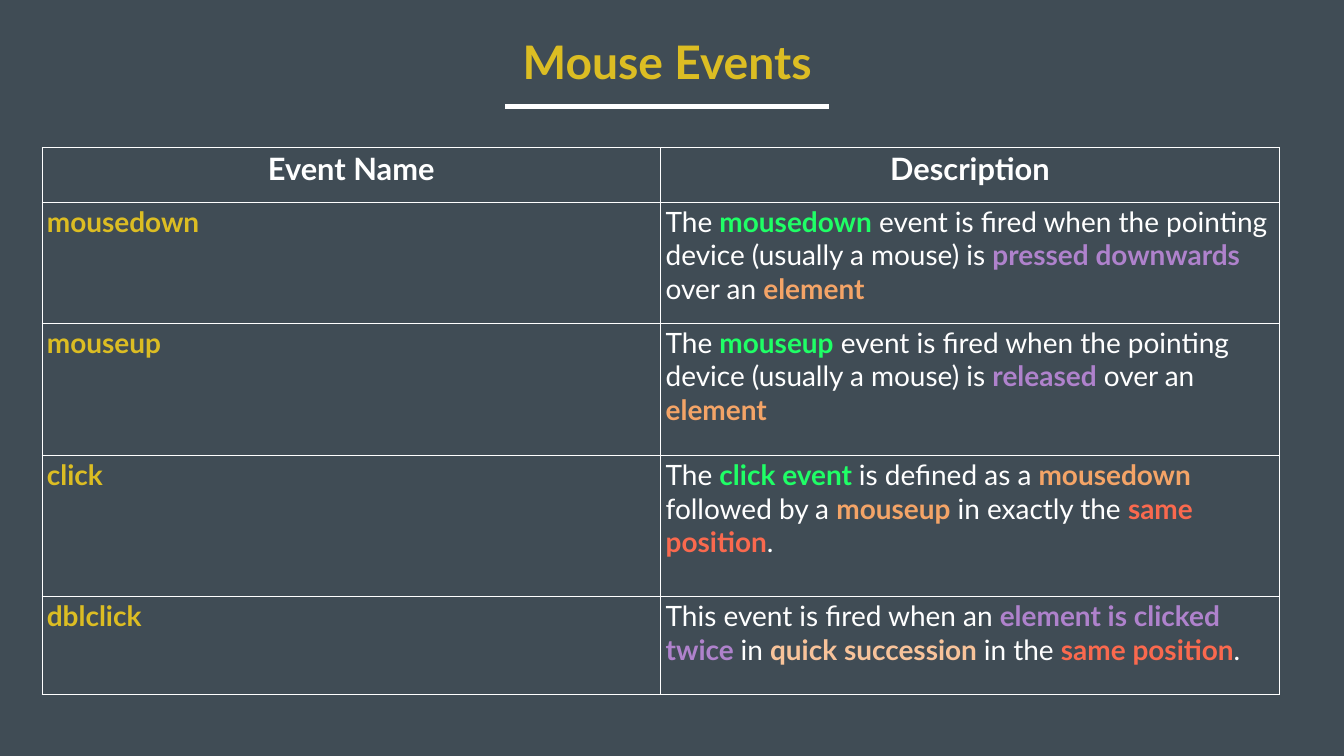
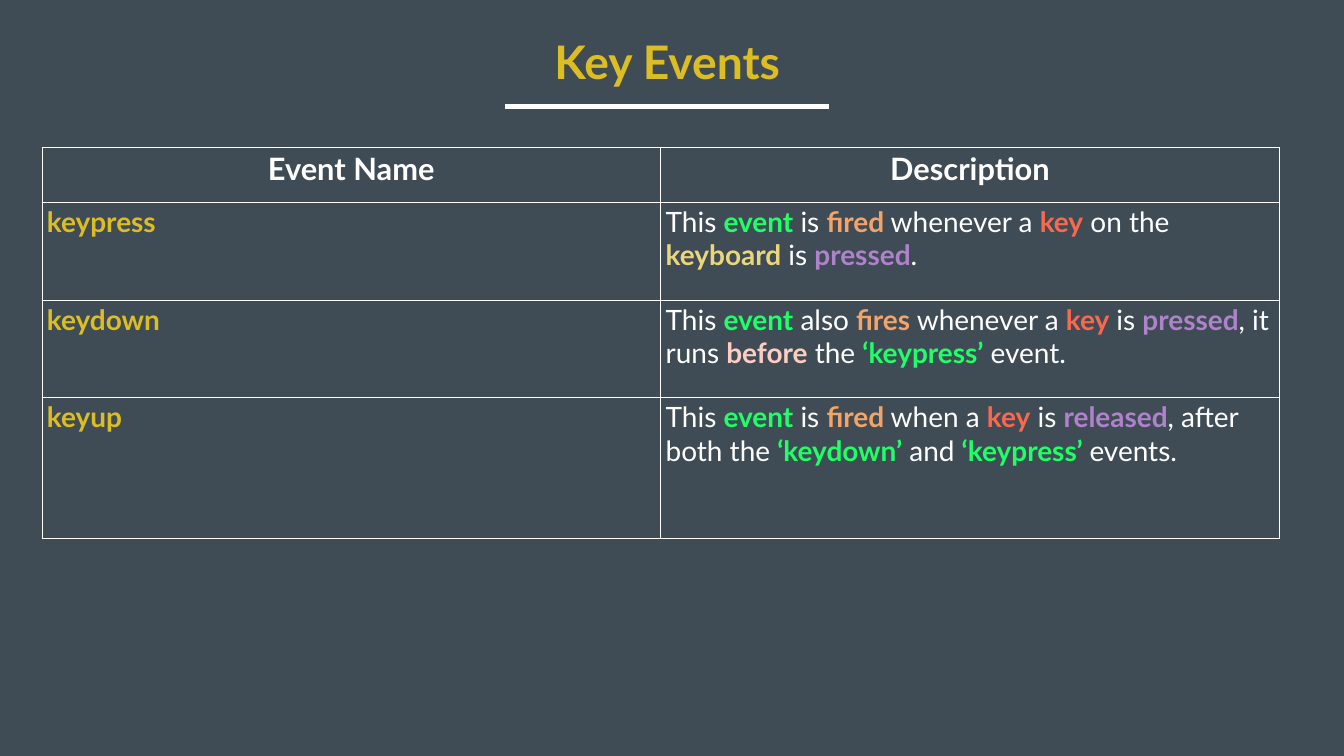
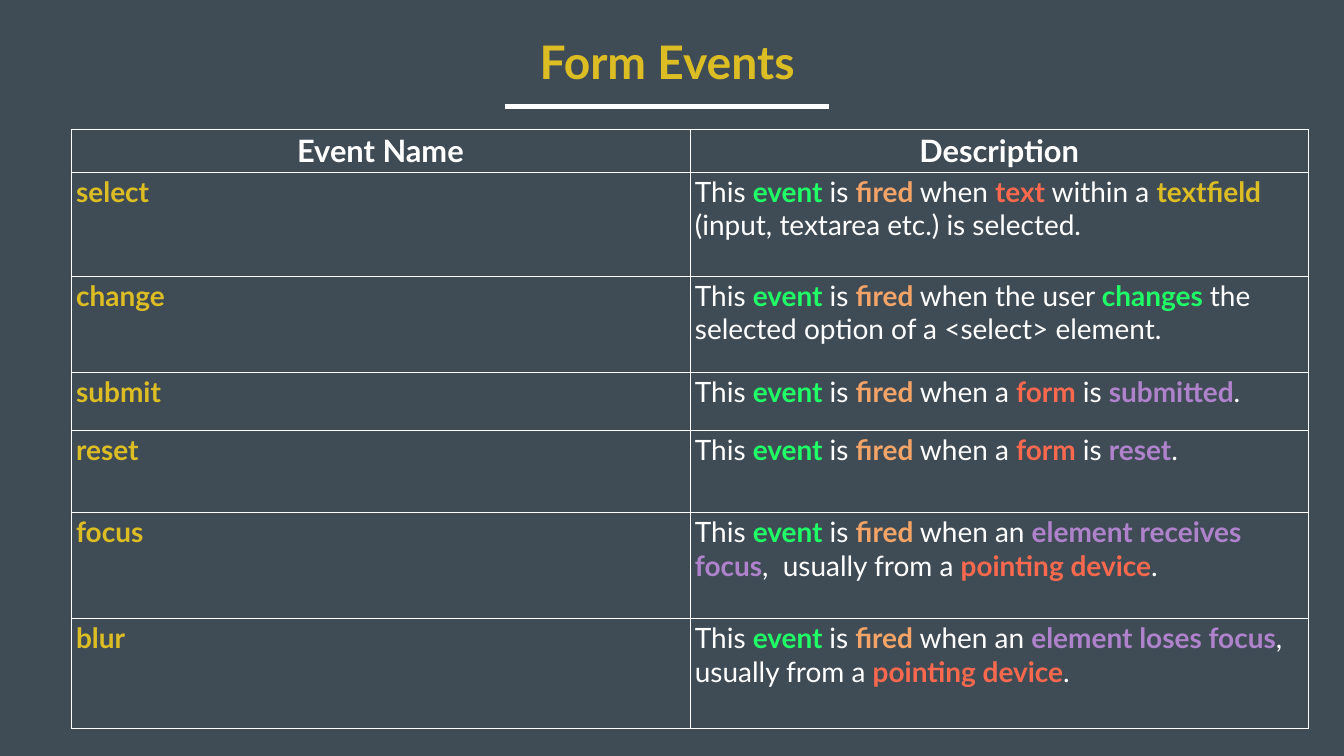
from lxml.etree import SubElement
from pptx import Presentation
from pptx.dml.color import RGBColor as RGB
from pptx.enum.shapes import MSO_CONNECTOR as Link
from pptx.enum.text import MSO_AUTO_SIZE as Fit, PP_ALIGN as Align
from pptx.oxml.ns import qn
from pptx.util import Inches, Pt

COLORS = {
    "back": "404C55",
    "white": "FFFFFF",
    "gold": "DCBD23",
    "straw": "EAD77B",
    "green": "1FFF66",
    "purple": "AF82CC",
    "orange": "F4A467",
    "peach": "F8C39A",
    "red": "FA694E",
    "pink": "FDCDC4",
}
FONT = "Lato"
RULE = (10.02, 16.46)
RULE_TOP = 2.11
MIDDLE = sum(RULE) / 2
COL_WIDTH = 12.28
HEADS = ("Event Name", "Description")

# Words in [color text] brackets are bold and take that color.
MOUSE = [
    ("mousedown", 2.4, "The [green mousedown] event is fired when the pointing device "
     "(usually a mouse) is [purple pressed downwards ]over an [orange element]"),
    ("mouseup", 2.63, "The [green mouseup] event is fired when the pointing device "
     "(usually a mouse) is [purple released] over an [orange element]"),
    ("click", 2.8, "The [green click event ]is defined as a [orange mousedown] followed by a "
     "[orange mouseup] in exactly the [red same position]."),
    ("dblclick", 1.94, "This event is fired when an [purple element is clicked twice ]in "
     "[peach quick succession ]in the [red same position]."),
]
KEYS = [
    ("keypress", 1.94, "This [green event] is [orange fired] whenever a [red key] on the "
     "[straw keyboard] is [purple pressed]."),
    ("keydown", 1.94, "This [green event] also [orange fires] whenever a [red key] is "
     "[purple pressed], it runs [pink before] the [green ‘keypress’] event."),
    ("keyup", 2.8, "This [green event] is [orange fired] when a [red key] is [purple released], "
     "after both the [green ‘keydown’] and [green ‘keypress’ ]events."),
]
FORM = [
    ("select", 2.07, "This [green event] is [orange fired] when [red text] within a "
     "[gold textfield] (input, textarea etc.) is selected."),
    ("change", 1.91, "This [green event] is [orange fired] when the user [green changes] the "
     "selected option of a <select> element."),
    ("submit", 1.14, "This [green event] is [orange fired] when a [red form] is "
     "[purple submitted]."),
    ("reset", 1.64, "This [green event] is [orange fired] when a [red form] is [purple reset]."),
    ("focus", 2.1, "This [green event] is [orange fired] when an "
     "[purple element receives focus],  usually from a [red pointing device]."),
    ("blur", 2.18, "This [green event ]is [orange fired] when an [purple element loses focus], "
     "usually from a [red pointing device]."),
]


def color(name):
    return RGB.from_string(COLORS[name])


def write(frame, text, size, align=Align.LEFT):
    """Fill a text frame with one paragraph of marked-up text."""
    para = frame.paragraphs[0]
    para.alignment = align
    para.font.name = FONT
    para.font.size = Pt(size)
    for i, part in enumerate(text.replace("]", "[").split("[")):
        if not part:
            continue
        marked = i % 2 == 1
        tone, words = part.split(" ", 1) if marked else ("white", part)
        run = para.add_run()
        run.text = words
        run.font.bold = marked
        run.font.color.rgb = color(tone)


def add_title(slide, text, width):
    box = slide.shapes.add_textbox(Inches(MIDDLE - width / 2), Inches(0.62),
                                   Inches(width), Inches(1.21))
    box.text_frame.word_wrap = False
    box.text_frame.auto_size = Fit.SHAPE_TO_FIT_TEXT
    write(box.text_frame, f"[gold {text}]", 66, Align.CENTER)


def add_rule(slide):
    left, right = map(Inches, RULE)
    rule = slide.shapes.add_connector(Link.STRAIGHT, left, Inches(RULE_TOP),
                                      right, Inches(RULE_TOP))
    rule.line.color.rgb = color("white")
    rule.line.width = Pt(8)
    SubElement(rule.element.spPr, qn("a:effectLst"))


def frame_cell(cell):
    """Give a cell thin white borders and no fill."""
    props = cell._tc.get_or_add_tcPr()
    for side in ("lnL", "lnR", "lnT", "lnB"):
        line = SubElement(props, qn(f"a:{side}"), w=str(Pt(1)))
        fill = SubElement(line, qn("a:solidFill"))
        SubElement(fill, qn("a:srgbClr"), val=COLORS["white"])
    cell.fill.background()


def add_events(slide, events, left, top, head):
    heights = [head] + [height for _, height, _ in events]
    table = slide.shapes.add_table(len(heights), len(HEADS), Inches(left), Inches(top),
                                   Inches(COL_WIDTH * len(HEADS)), Inches(sum(heights))).table
    table.first_row = table.horz_banding = False
    for col in table.columns:
        col.width = Inches(COL_WIDTH)
    for row, height in zip(table.rows, heights):
        row.height = Inches(height)
    for cell in table.iter_cells():
        frame_cell(cell)
    for col, text in enumerate(HEADS):
        write(table.cell(0, col).text_frame, f"[white {text}]", 44, Align.CENTER)
    for row, (name, _, text) in enumerate(events, 1):
        write(table.cell(row, 0).text_frame, f"[gold {name}]", 40)
        write(table.cell(row, 1).text_frame, text, 40)


def add_page(deck, title, width, events, left=0.83, top=2.93, head=1.08):
    slide = deck.slides.add_slide(deck.slide_layouts[6])
    slide.background.fill.solid()
    slide.background.fill.fore_color.rgb = color("back")
    add_title(slide, title, width)
    add_rule(slide)
    add_events(slide, events, left, top, head)


def main():
    deck = Presentation()
    deck.slide_width = Inches(26.67)
    deck.slide_height = Inches(15)
    add_page(deck, "Mouse Events", 6.43, MOUSE)
    add_page(deck, "Key Events", 4.83, KEYS)
    add_page(deck, "Form Events", 5.39, FORM, left=1.41, top=2.57, head=0.84)
    deck.save("out.pptx")


if __name__ == "__main__":
    main()
